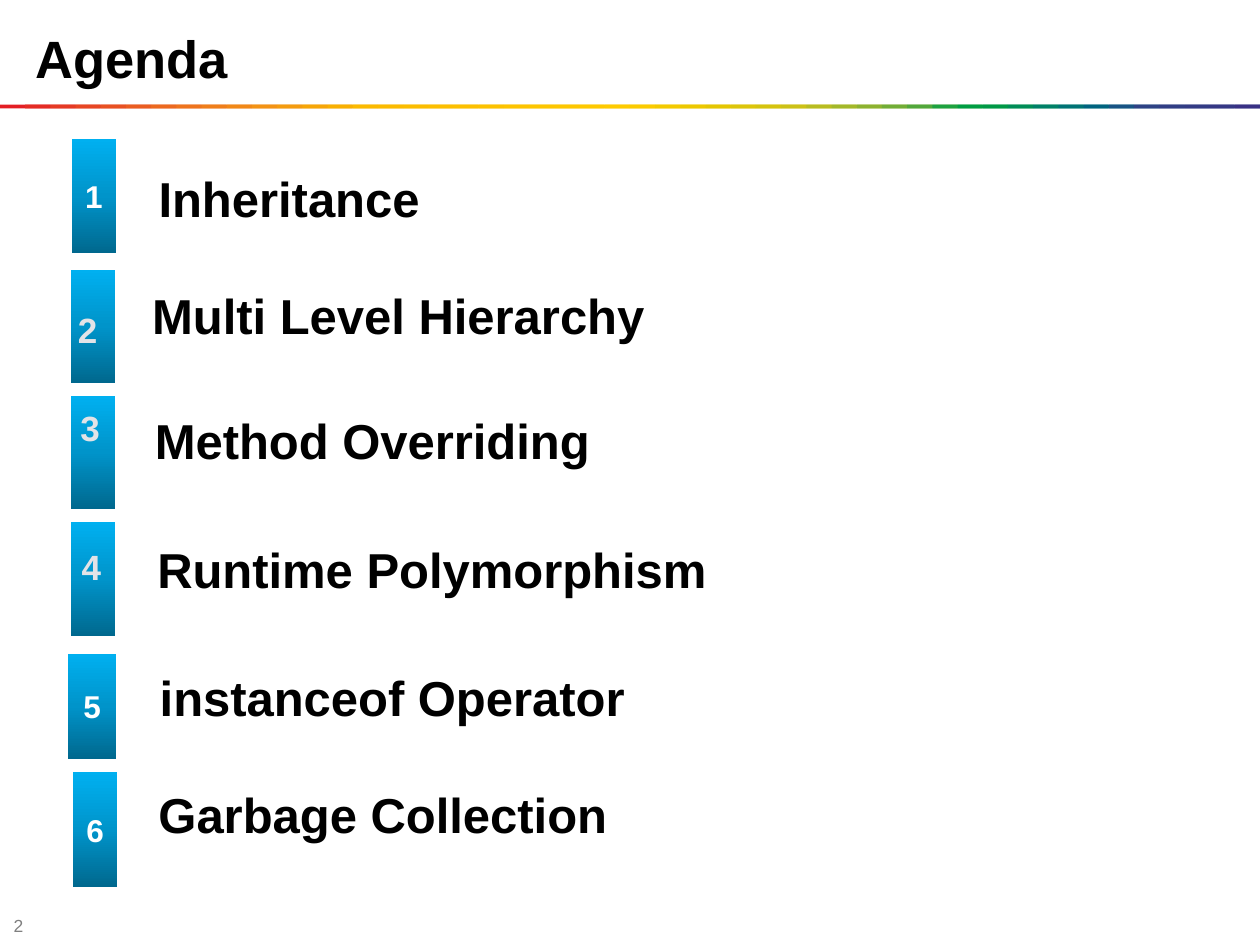
from copy import deepcopy

from pptx import Presentation
from pptx.dml.color import RGBColor
from pptx.enum.shapes import MSO_SHAPE as Shape
from pptx.enum.text import MSO_ANCHOR as Anchor, PP_ALIGN as Align
from pptx.oxml.ns import qn
from pptx.util import Pt

WIDTH, HEIGHT = 720, 540
COLORS = {
    "text": "000000",
    "page": "808080",
    "white": "FFFFFF",
    "pale": "E2E3E7",
    "badge_dark": "00688E",
    "badge_middle": "0094CA",
    "badge_light": "00B0F0",
}
RAINBOW = """
    E31E24 E42C24 E53A24 E74623 E85122 EA5D21 EC691F EE741D EF7E1A F18817
    F39314 F49C0F F6A607 F8B002 FBBA00 FBBB00 FBBD00 FCBF00 FCC000 FCC200
    FDC400 FDC600 FDC700 FEC900 FECB00 FBCB00 F3CA00 ECC800 E4C602 DCC50A
    D5C30E CCC117 B8BC21 A3B829 8CB230 71AD36 51A73B 1DA240 009D43 009846
    008C57 008068 007275 00637F 185384 2E4285 313E85 333B85 353885 393185
""".split()

# Label, badge box, label box, and the box of a separate number if there is one
AGENDA = [
    ("Inheritance", (41, 79.7, 25.2, 65), (83.5, 92.9, 539.3, 41), None),
    ("Multi Level Hierarchy", (40.7, 154.1, 25.2, 64.8),
     (79.9, 159.8, 552.2, 51.1), (37.4, 172.8, 21.6, 33.1)),
    ("Method Overriding", (40.7, 226.1, 25.2, 64.8),
     (81.4, 231.1, 552.2, 58.3), (38.9, 229, 21.6, 43.9)),
    ("Runtime Polymorphism", (40.7, 298.1, 25.2, 65.5),
     (82.8, 304.6, 552.2, 58.3), (39.6, 308.2, 23, 37.4)),
    ("instanceof Operator", (38.9, 373.7, 27.4, 59.8),
     (84.2, 378, 552.2, 58.3), None),
    ("Garbage Collection", (41.8, 441.4, 25.2, 65.5),
     (83.5, 445, 552.2, 58.3), None),
]


def rgb(name):
    return RGBColor.from_string(COLORS[name])


def write_text(shape, text, size, color="text", bold=True, align=Align.LEFT,
               anchor=Anchor.TOP, space_before=0):
    frame = shape.text_frame
    frame.word_wrap = True
    frame.vertical_anchor = anchor
    paragraph = frame.paragraphs[0]
    paragraph.alignment = align
    paragraph.space_before = Pt(space_before)
    run = paragraph.add_run()
    run.text = text
    run.font.name = "Arial"
    run.font.size = Pt(size)
    run.font.bold = bold
    run.font.color.rgb = rgb(color)


def add_text(slide, box, text, **text_format):
    shape = slide.shapes.add_textbox(*map(Pt, box))
    write_text(shape, text, **text_format)


def add_rectangle(slide, box):
    shape = slide.shapes.add_shape(Shape.RECTANGLE, *map(Pt, box))
    shape.shadow.inherit = False
    shape.line.fill.background()
    return shape


def add_rainbow_line(slide, box):
    """Overlapping bars, each reaching halfway under the next one."""
    left, top, width, height = box
    step = width / len(RAINBOW)
    for index, color in enumerate(RAINBOW):
        offset = index * step
        bar_width = min(2 * step, width - offset)
        bar = add_rectangle(slide, (left + offset, top, bar_width, height))
        bar.fill.solid()
        bar.fill.fore_color.rgb = RGBColor.from_string(color)


def add_badge(slide, box):
    """Rectangle shaded from dark at the bottom to light at the top."""
    badge = add_rectangle(slide, box)
    badge.fill.gradient()
    badge.fill.gradient_angle = 90
    # The default gradient has two stops: add a third
    stop_list = badge._element.spPr.find(qn("a:gradFill")).find(qn("a:gsLst"))
    stop_list.append(deepcopy(stop_list[-1]))
    shades = ("badge_dark", "badge_middle", "badge_light")
    for stop, position, shade in zip(badge.fill.gradient_stops, (0, 0.5, 1), shades):
        stop.position = position
        stop.color.rgb = rgb(shade)
    return badge


def add_agenda_item(slide, number, label, badge_box, label_box, number_box):
    badge = add_badge(slide, badge_box)
    if number_box:
        add_text(slide, number_box, str(number), size=20, color="pale",
                 align=Align.CENTER)
    else:
        write_text(badge, str(number), size=18, color="white",
                   align=Align.CENTER, anchor=Anchor.MIDDLE)
    add_text(slide, label_box, label, size=28, space_before=2.8)


def main():
    presentation = Presentation()
    presentation.slide_width, presentation.slide_height = Pt(WIDTH), Pt(HEIGHT)
    slide = presentation.slides.add_slide(presentation.slide_layouts[6])

    # Page number and header
    add_text(slide, (0.7, 523.4, 28.1, 11.5), "2", size=10, color="page",
             bold=False, anchor=Anchor.MIDDLE)
    add_rainbow_line(slide, (0, 59.8, WIDTH, 2.2))
    add_text(slide, (13, 11.5, 668.2, 43.2), "Agenda", size=30,
             anchor=Anchor.BOTTOM)

    # Agenda
    for number, item in enumerate(AGENDA, start=1):
        add_agenda_item(slide, number, *item)

    presentation.save("out.pptx")


if __name__ == "__main__":
    main()
